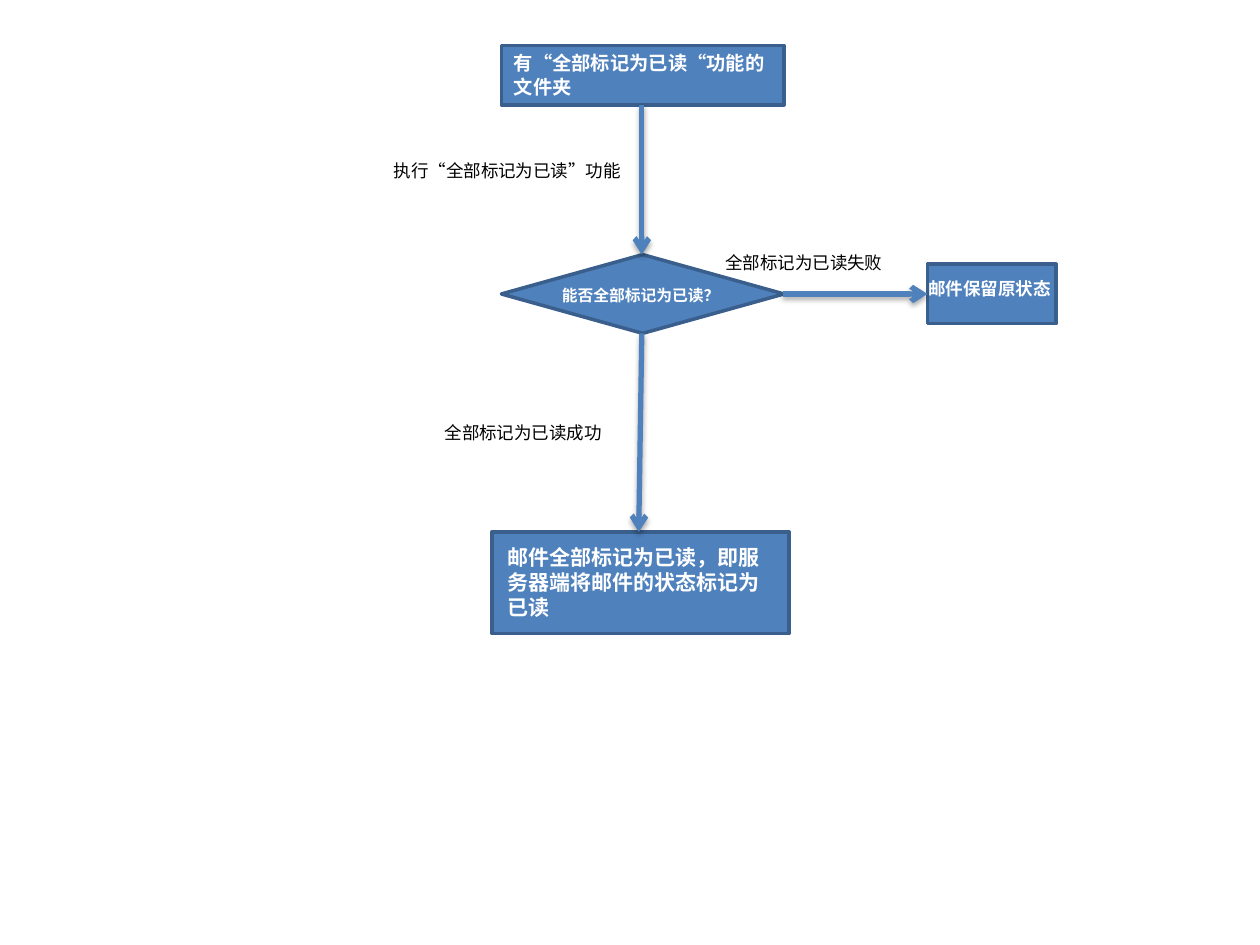
from typing import NamedTuple

from lxml import etree
from pptx import Presentation
from pptx.dml.color import RGBColor
from pptx.enum.shapes import MSO_CONNECTOR as Conn, MSO_SHAPE as Geo
from pptx.enum.text import MSO_AUTO_SIZE as Fit
from pptx.oxml import parse_xml
from pptx.oxml.ns import nsdecls, qn
from pptx.util import Pt

BLUE = RGBColor(0x4F, 0x81, 0xBD)
EDGE = RGBColor(0x3A, 0x5F, 0x8C)
WHITE = RGBColor(0xFF, 0xFF, 0xFF)
BLACK = RGBColor(0, 0, 0)
FONT = "Calibri"
SHADE = (
    f'<a:effectLst {nsdecls("a")}>'
    '<a:outerShdw blurRad="40000" dist="23000" dir="5400000" rotWithShape="0">'
    '<a:srgbClr val="000000"><a:alpha val="35000"/></a:srgbClr>'
    '</a:outerShdw></a:effectLst>'
)


class Node(NamedTuple):
    geo: Geo
    left: float
    top: float
    width: float
    height: float


class Label(NamedTuple):
    text: str
    left: float
    top: float
    width: float
    height: float
    size: float
    bold: bool = False
    color: RGBColor = BLACK


class Arrow(NamedTuple):
    x1: float
    y1: float
    x2: float
    y2: float


NODES = [
    Node(Geo.RECTANGLE, 286.5, 26, 161.5, 34),
    Node(Geo.DIAMOND, 286.5, 145.5, 161.5, 45),
    Node(Geo.RECTANGLE, 530, 151, 73.5, 34),
    Node(Geo.RECTANGLE, 281, 304, 170, 58),
]
ARROWS = [
    Arrow(366.75, 60, 366.75, 145.5),
    Arrow(366.75, 190.5, 365, 304),
    Arrow(447.5, 168, 530, 168),
]
LABELS = [
    Label("有“全部标记为已读“功能的文件夹", 286.5, 26, 161.5, 34, 11, True, WHITE),
    Label("执行“全部标记为已读”功能", 218, 88, 150, 19.5, 10),
    Label("能否全部标记为已读？", 314, 160, 102, 18, 9, True, WHITE),
    Label("全部标记为已读失败", 407.5, 140.5, 122.5, 19.5, 10),
    Label("邮件保留原状态", 523.5, 155.5, 90.5, 19.5, 10, True, WHITE),
    Label("全部标记为已读成功", 247, 237.5, 114.5, 19.5, 10),
    Label("邮件全部标记为已读，即服务器端将邮件的状态标记为已读",
          283, 307.5, 164, 51, 12, True, WHITE),
]


def add_node(shapes, node: Node) -> None:
    box = shapes.add_shape(node.geo, *map(Pt, node[1:]))
    box.shadow.inherit = False
    box.fill.solid()
    box.fill.fore_color.rgb = BLUE
    box.line.color.rgb = EDGE
    box.line.width = Pt(2)


def add_arrow(shapes, arrow: Arrow) -> None:
    link = shapes.add_connector(Conn.STRAIGHT, *map(Pt, arrow))
    link.line.color.rgb = BLUE
    link.line.width = Pt(3)
    etree.SubElement(link.line._get_or_add_ln(), qn("a:tailEnd"), type="arrow")
    link._element.spPr.append(parse_xml(SHADE))


def add_label(shapes, label: Label) -> None:
    box = shapes.add_textbox(*map(Pt, label[1:5]))
    frame = box.text_frame
    frame.word_wrap = True
    frame.auto_size = Fit.SHAPE_TO_FIT_TEXT
    run = frame.paragraphs[0].add_run()
    run.text = label.text
    font = run.font
    font.name = FONT
    font.size = Pt(label.size)
    font.bold = label.bold
    font.color.rgb = label.color


def main() -> None:
    deck = Presentation()
    deck.slide_width, deck.slide_height = Pt(720), Pt(540)
    shapes = deck.slides.add_slide(deck.slide_layouts[6]).shapes
    for node in NODES:
        add_node(shapes, node)
    for arrow in ARROWS:
        add_arrow(shapes, arrow)
    for label in LABELS:
        add_label(shapes, label)
    deck.save("out.pptx")


if __name__ == "__main__":
    main()
